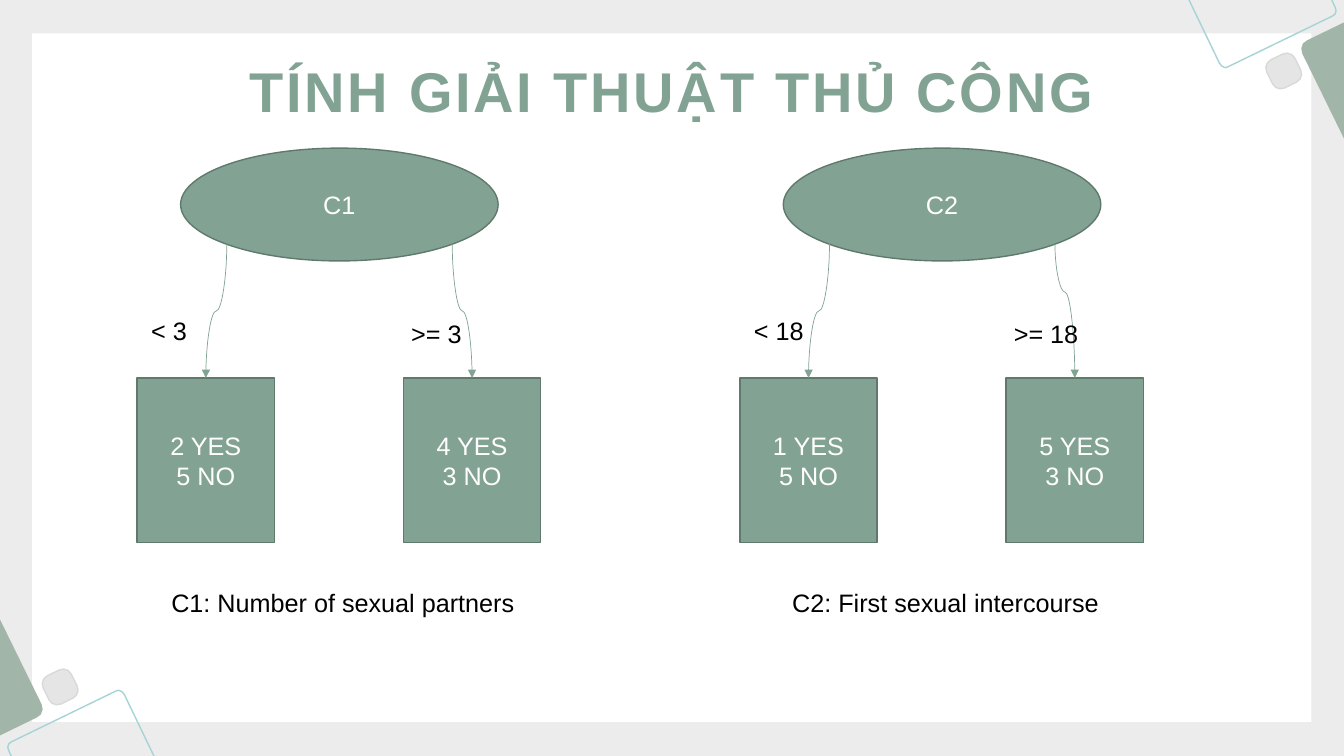
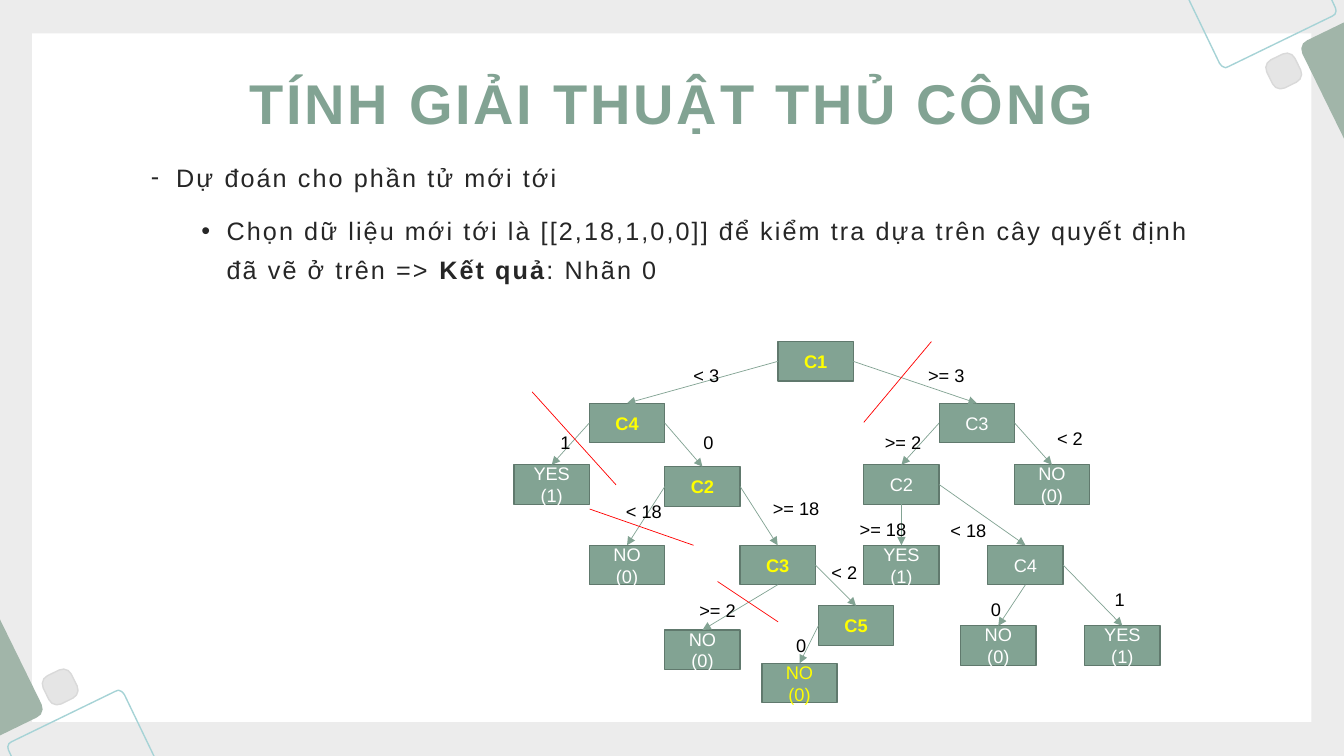
from typing import NamedTuple

from lxml import etree
from pptx import Presentation
from pptx import util as u
from pptx.dml import color
from pptx.enum import shapes, text
from pptx.oxml import ns

FONT = "Arial"
SAGE, EDGE, MIST = "82A393", "60796D", "A1B5A9"
WHITE, BLACK, INK = "FFFFFF", "000000", "262626"
YELLOW, RED = "FFFF00", "FF0000"
PAPER, TEAL, PEARL, SILVER = "ECECEC", "A6D3D6", "E5E5E5", "D9D9D9"
TITLE = "TÍNH GIẢI THUẬT THỦ CÔNG"
RECT = shapes.MSO_SHAPE.RECTANGLE
OVAL = shapes.MSO_SHAPE.OVAL
ROUND = shapes.MSO_SHAPE.ROUNDED_RECTANGLE
CENTER = text.PP_ALIGN.CENTER
NODE_W, NODE_H = 53.8, 28.2


class Leaf(NamedTuple):
    test: str
    words: str
    bend: float


class Panel(NamedTuple):
    left: float
    name: str
    note: str
    leaves: tuple[Leaf, Leaf]


class Node(NamedTuple):
    left: float
    top: float
    words: str
    tint: str = WHITE
    bold: bool = False


class Link(NamedTuple):
    start: str
    side: int
    end: str
    label: str
    left: float
    top: float


PANELS = (
    Panel(98, "C1", "C1: Number of sexual partners",
          (Leaf("< 3", "2 YES\n5 NO", 0.5), Leaf(">= 3", "4 YES\n3 NO", 0.5))),
    Panel(528.5, "C2", "C2: First sexual intercourse",
          (Leaf("< 18", "1 YES\n5 NO", 0.5), Leaf(">= 18", "5 YES\n3 NO", 0.36))),
)

YES, NO = "YES\n(1)", "NO\n(0)"
NODES = {
    "root": Node(555.7, 244, "C1", YELLOW, True),
    "l": Node(421, 288, "C4", YELLOW, True),
    "r": Node(670.9, 288, "C3"),
    "ll": Node(367.2, 332, YES),
    "lr": Node(474.9, 333.4, "C2", YELLOW, True),
    "rl": Node(617, 332, "C2"),
    "rr": Node(724.5, 332, NO),
    "lrl": Node(421, 389.5, NO),
    "lrr": Node(528.6, 389.5, "C3", YELLOW, True),
    "rll": Node(617, 389.5, YES),
    "rlr": Node(705.6, 389.5, "C4"),
    "lrrl": Node(474.9, 450, NO),
    "lrrr": Node(584.6, 432.7, "C5", YELLOW, True),
    "rlrl": Node(686.2, 447, NO),
    "rlrr": Node(774.8, 447, YES),
    "last": Node(544.2, 473.8, NO, YELLOW),
}

LINKS = (
    Link("root", 1, "l", "< 3", 488.2, 257),
    Link("root", 3, "r", ">= 3", 655.9, 257),
    Link("l", 1, "ll", "1", 393.1, 304.6),
    Link("l", 3, "lr", "0", 495.4, 304.6),
    Link("r", 1, "rl", ">= 2", 625, 304.6),
    Link("r", 3, "rr", "< 2", 748, 301.7),
    Link("lr", 1, "lrl", "< 18", 440, 353.5),
    Link("lr", 3, "lrr", ">= 18", 545, 352),
    Link("rl", 2, "rll", ">= 18", 607, 366.5),
    Link("rl", 3, "rlr", "< 18", 671.8, 367.2),
    Link("lrr", 2, "lrrl", ">= 2", 492.5, 424.8),
    Link("lrr", 3, "lrrr", "< 2", 586.8, 397.4),
    Link("rlr", 2, "rlrl", "0", 700.6, 424.1),
    Link("rlr", 3, "rlrr", "1", 789.1, 416.9),
    Link("lrrr", 1, "last", "0", 561.6, 449.3),
)

CUTS = ((665.3, 244, 617, 301.7), (380.2, 280, 440, 346.3),
        (495.4, 389.5, 421.2, 363.6), (555.8, 444.2, 512.6, 415.4))

FRAME = ((849, -0.7), (951, -0.7), (954, 5.8), (954.4, 8),
         (953.6, 10.2), (951.8, 11.5), (877.7, 47.5), (875.4, 48.4),
         (873, 47.4), (871.2, 45.4))
WEDGE = ((960.5, 15.8), (960.5, 100), (930.2, 38.2), (929.5, 34.6),
         (930.8, 31), (933.8, 28.8))


def tone(code: str) -> color.RGBColor:
    return color.RGBColor.from_string(code)


def paint(shape, fill: str | None, line: str | None) -> None:
    shape.shadow.inherit = False
    if fill:
        shape.fill.solid()
        shape.fill.fore_color.rgb = tone(fill)
    else:
        shape.fill.background()
    if line:
        shape.line.color.rgb = tone(line)
        shape.line.width = u.Pt(1)
    else:
        shape.line.fill.background()


def style(para, size: float, tint: str, bold: bool = False, gap: float = 0) -> None:
    for run in para.runs:
        run.font.name = FONT
        run.font.size = u.Pt(size)
        run.font.color.rgb = tone(tint)
        run.font.bold = bold
        if gap:
            run._r.get_or_add_rPr().set("spc", str(int(gap * 100)))


def block(slide, kind, left: float, top: float, width: float, height: float,
          fill: str, line: str | None = None, words: str = "",
          size: float = 18, tint: str = WHITE, bold: bool = False):
    shape = slide.shapes.add_shape(kind, u.Pt(left), u.Pt(top), u.Pt(width), u.Pt(height))
    paint(shape, fill, line)
    if words:
        frame = shape.text_frame
        frame.text = words
        frame.vertical_anchor = text.MSO_ANCHOR.MIDDLE
        for para in frame.paragraphs:
            para.alignment = CENTER
            style(para, size, tint, bold)
    return shape


def box(slide, left: float, top: float, width: float, height: float, words: str = ""):
    frame = slide.shapes.add_textbox(
        u.Pt(left), u.Pt(top), u.Pt(width), u.Pt(height)).text_frame
    frame.word_wrap = True
    frame.text = words
    return frame


def label(slide, left: float, top: float, words: str, size: float) -> None:
    width = size * sum(0.28 if sign == " " else 0.57 for sign in words) + 14.4
    frame = box(slide, left, top, width, size * 1.2 + 7.2, words)
    frame.word_wrap = False
    style(frame.paragraphs[0], size, BLACK)


def line(slide, kind, x1: float, y1: float, x2: float, y2: float,
         tint: str = SAGE, arrow: bool = True):
    wire = slide.shapes.add_connector(kind, u.Pt(x1), u.Pt(y1), u.Pt(x2), u.Pt(y2))
    wire.line.color.rgb = tone(tint)
    wire.line.width = u.Pt(0.5)
    if arrow:
        etree.SubElement(wire.line._get_or_add_ln(), ns.qn("a:tailEnd"), type="triangle")
    etree.SubElement(wire._element.spPr, ns.qn("a:effectLst"))
    return wire


def curve(slide, x1: float, y1: float, x2: float, y2: float, bend: float) -> None:
    mid_x, mid_y = (x1 + x2) / 2, (y1 + y2) / 2
    long, wide = (y2 - y1) / 2, abs(x2 - x1) / 2
    wire = line(slide, shapes.MSO_CONNECTOR.CURVE, mid_x - long, mid_y - wide,
                mid_x + long, mid_y + wide)
    props = wire._element.spPr
    turn = props.find(ns.qn("a:xfrm"))
    turn.set("rot", str((90 if x2 < x1 else 270) * 60000))
    if x2 > x1:
        turn.set("flipH", "1")
    guides = props.find(ns.qn("a:prstGeom")).find(ns.qn("a:avLst"))
    etree.SubElement(guides, ns.qn("a:gd"), name="adj1", fmla=f"val {int(bend * 100000)}")


def outline(slide, dots, fill: str | None, edge: str | None) -> None:
    spots = [(u.Pt(x), u.Pt(y)) for x, y in dots]
    form = slide.shapes.build_freeform(*spots[0], scale=1.0)
    form.add_line_segments(spots[1:], close=True)
    paint(form.convert_to_shape(), fill, edge)


def corner(slide, flip: bool) -> None:
    def place(x: float, y: float) -> tuple[float, float]:
        return (960 - x, 541.4 - y) if flip else (x, y)

    outline(slide, [place(*dot) for dot in FRAME], None, TEAL)
    outline(slide, [place(*dot) for dot in WEDGE], MIST, None)
    x, y = place(917, 50.7)
    gem = block(slide, ROUND, x - 11.2, y - 11.2, 22.4, 22.4, PEARL, SILVER)
    gem.adjustments[0] = 0.29
    gem.rotation = 334


def base(deck, top: float):
    slide = deck.slides.add_slide(deck.slide_layouts[6])
    slide.background.fill.solid()
    slide.background.fill.fore_color.rgb = tone(PAPER)
    block(slide, RECT, 23, 23.8, 913.7, 491.8, WHITE)
    for flip in (False, True):
        corner(slide, flip)
    frame = box(slide, 100.8, top, 758.2, 83.5, TITLE)
    frame.vertical_anchor = text.MSO_ANCHOR.MIDDLE
    frame.paragraphs[0].alignment = CENTER
    style(frame.paragraphs[0], 40, SAGE, True, 2)
    return slide


def split(slide, panel: Panel) -> None:
    left = panel.left
    note = box(slide, left + 2.9, 416.2, 288, 28.8, panel.note).paragraphs[0]
    note.alignment = CENTER
    style(note, 18, BLACK)
    block(slide, OVAL, left + 31, 105.8, 226.8, 80.6, SAGE, EDGE, panel.name)
    tails, tests = (64, 225), ((2.9, 221.8), (188.6, 223.6))
    for i, leaf in enumerate(panel.leaves):
        spot = left + i * 190.2
        block(slide, RECT, spot, 270, 98, 117.4, SAGE, EDGE, leaf.words)
        curve(slide, left + tails[i], 174.2, spot + 49, 270, leaf.bend)
        label(slide, left + tests[i][0], tests[i][1], leaf.test, 18)


def bullet(para, mark: str, inset: float) -> None:
    para.line_spacing = 1.3
    para.space_after = u.Pt(10)
    props = para._p.get_or_add_pPr()
    props.set("marL", str(u.Pt(inset)))
    props.set("indent", str(u.Pt(-18)))
    etree.SubElement(props, ns.qn("a:buFont"), typeface=FONT)
    etree.SubElement(props, ns.qn("a:buChar"), char=mark)
    style(para, 18, INK, gap=1.5)


def body(slide) -> None:
    frame = box(slide, 100.8, 105.8, 758.2, 336.2, "Dự đoán cho phần tử mới tới")
    bullet(frame.paragraphs[0], "-", 18)
    para = frame.add_paragraph()
    para.level = 1
    for words in ("Chọn dữ liệu mới tới là [[2,18,1,0,0]] để kiểm tra "
                  "dựa trên cây quyết định đã vẽ ở trên => ", "Kết quả", ": Nhãn 0"):
        para.add_run().text = words
    bullet(para, "•", 54)
    para.runs[1].font.bold = True


def tree(slide) -> None:
    made = {key: block(slide, RECT, node.left, node.top, NODE_W, NODE_H, SAGE, EDGE,
                       node.words, 13, node.tint, node.bold)
            for key, node in NODES.items()}
    for link in LINKS:
        wire = line(slide, shapes.MSO_CONNECTOR.STRAIGHT, 0, 0, 0, 0)
        wire.begin_connect(made[link.start], link.side)
        wire.end_connect(made[link.end], 0)
    for link in LINKS:
        label(slide, link.left, link.top, link.label, 13)
    for cut in CUTS:
        line(slide, shapes.MSO_CONNECTOR.STRAIGHT, *cut, tint=RED, arrow=False)


def main() -> None:
    deck = Presentation()
    deck.slide_width, deck.slide_height = u.Pt(960), u.Pt(540)
    first = base(deck, 22.3)
    for panel in PANELS:
        split(first, panel)
    second = base(deck, 31)
    body(second)
    tree(second)
    deck.save("out.pptx")


if __name__ == "__main__":
    main()
